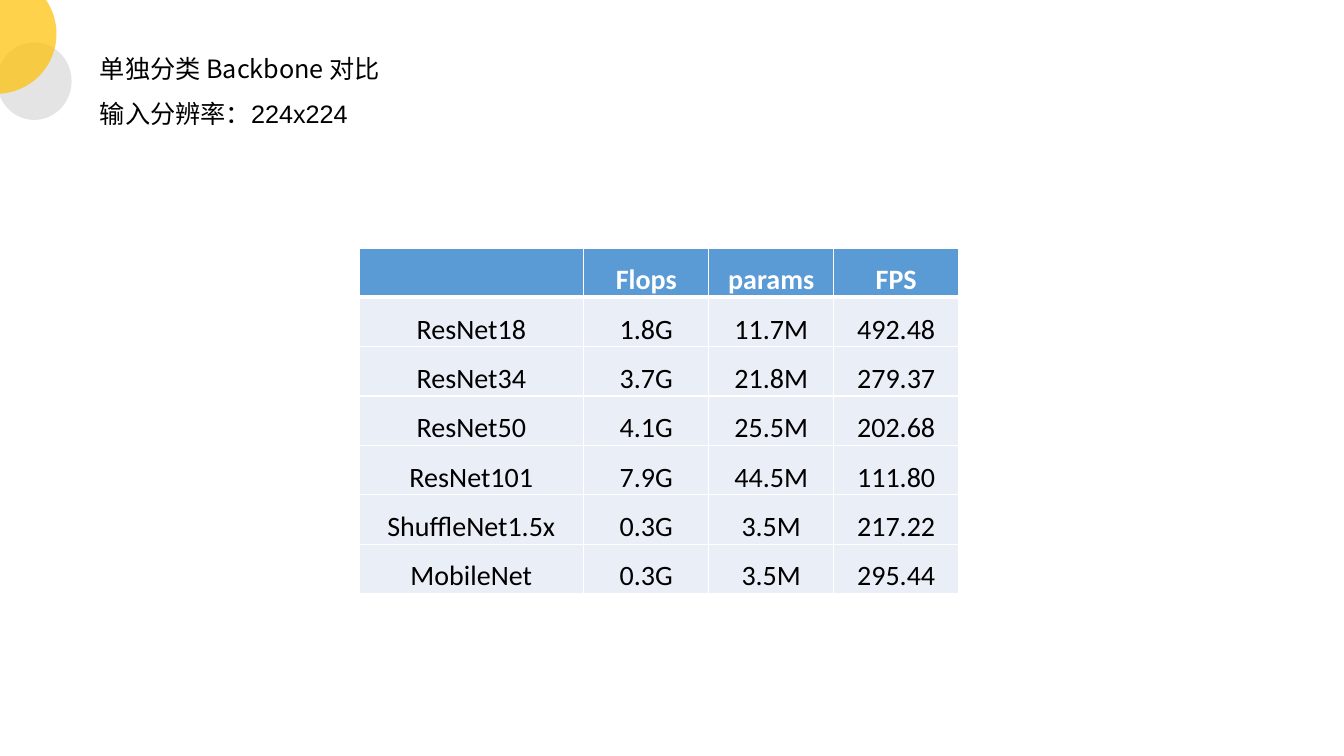
from lxml import etree
from pptx import Presentation
from pptx.dml.color import RGBColor
from pptx.enum.shapes import MSO_SHAPE
from pptx.enum.text import MSO_ANCHOR, MSO_AUTO_SIZE, PP_ALIGN
from pptx.oxml.ns import qn
from pptx.util import Inches, Pt

OVAL = MSO_SHAPE.OVAL
TOP, BOTTOM = MSO_ANCHOR.TOP, MSO_ANCHOR.BOTTOM
LEFT, CENTER = PP_ALIGN.LEFT, PP_ALIGN.CENTER
CJK = "Noto Sans CJK SC"


def rgb(value):
    return RGBColor.from_string(value)


def add_border(tc_pr, side, width):
    ln = etree.SubElement(tc_pr, qn(f"a:ln{side}"), w=str(Pt(width)))
    fill = etree.SubElement(ln, qn("a:solidFill"))
    etree.SubElement(fill, qn("a:srgbClr"), val="FFFFFF")


prs = Presentation()
prs.slide_width, prs.slide_height = Inches(13.33), Inches(7.5)
s = prs.slides.add_slide(prs.slide_layouts[5])

# Overlapping corner circles
circles = [
    ("D9D9D9", -0.03, 0.42, 0.74, 0.77),
    ("FFC000", -0.63, -0.26, 1.19, 1.19),
]
for color, *box in circles:
    sp = s.shapes.add_shape(OVAL, *[Inches(v) for v in box])
    sp.shadow.inherit = False
    sp.fill.solid()
    sp.fill.fore_color.rgb = rgb(color)
    sp.line.fill.background()
    clr = sp.fill._xPr.find(".//" + qn("a:srgbClr"))
    etree.SubElement(clr, qn("a:alpha"), val="70000")

# Two-line title
title = s.shapes.title
title.left, title.top = Inches(0.89), Inches(0.33)
title.width, title.height = Inches(3.28), Inches(1.01)
tf = title.text_frame
tf.word_wrap = True
tf.auto_size = MSO_AUTO_SIZE.SHAPE_TO_FIT_TEXT
tf.vertical_anchor = TOP
lines = [("单独分类 Backbone 对比", CJK), ("输入分辨率：224x224", "Arial")]
for i, (text, font) in enumerate(lines):
    p = tf.paragraphs[0] if i == 0 else tf.add_paragraph()
    p.alignment = LEFT
    p.line_spacing = 1.5
    r = p.add_run()
    r.text = text
    r.font.size = Pt(18)
    r.font.name = font
    r.font.color.rgb = rgb("000000")
    etree.SubElement(r.font._element, qn("a:ea"), typeface=CJK)

# Backbone comparison table
data = [
    ["", "Flops", "params", "FPS"],
    ["ResNet18", "1.8G", "11.7M", "492.48"],
    ["ResNet34", "3.7G", "21.8M", "279.37"],
    ["ResNet50", "4.1G", "25.5M", "202.68"],
    ["ResNet101", "7.9G", "44.5M", "111.80"],
    ["ShuffleNet1.5x", "0.3G", "3.5M", "217.22"],
    ["MobileNet", "0.3G", "3.5M", "295.44"],
]
col_widths = [2.23, 1.24, 1.24, 1.24]
row_height = Inches(0.49)
table = s.shapes.add_table(
    len(data), len(col_widths), Inches(3.56), Inches(2.46),
    Inches(sum(col_widths)), row_height * len(data)).table
table.horz_banding = False
for col, width in zip(table.columns, col_widths):
    col.width = Inches(width)

for i, values in enumerate(data):
    table.rows[i].height = row_height
    header = i == 0
    # The rule under the header is thicker than the others
    borders = {"L": 1, "R": 1, "T": 3 if i == 1 else 1, "B": 3 if header else 1}
    for j, text in enumerate(values):
        cell = table.cell(i, j)
        cell.vertical_anchor = BOTTOM
        cell.margin_left = cell.margin_right = cell.margin_top = Inches(0.01)
        cell.margin_bottom = 0
        for side, width in borders.items():
            add_border(cell._tc.tcPr, side, width)
        cell.fill.solid()
        cell.fill.fore_color.rgb = rgb("5B9BD5" if header else "EAEFF7")
        if not text:
            continue
        p = cell.text_frame.paragraphs[0]
        p.alignment = CENTER
        r = p.add_run()
        r.text = text
        r.font.size = Pt(20)
        r.font.name = "Calibri"
        r.font.bold = header
        r.font.color.rgb = rgb("FFFFFF" if header else "000000")

prs.save("out.pptx")
